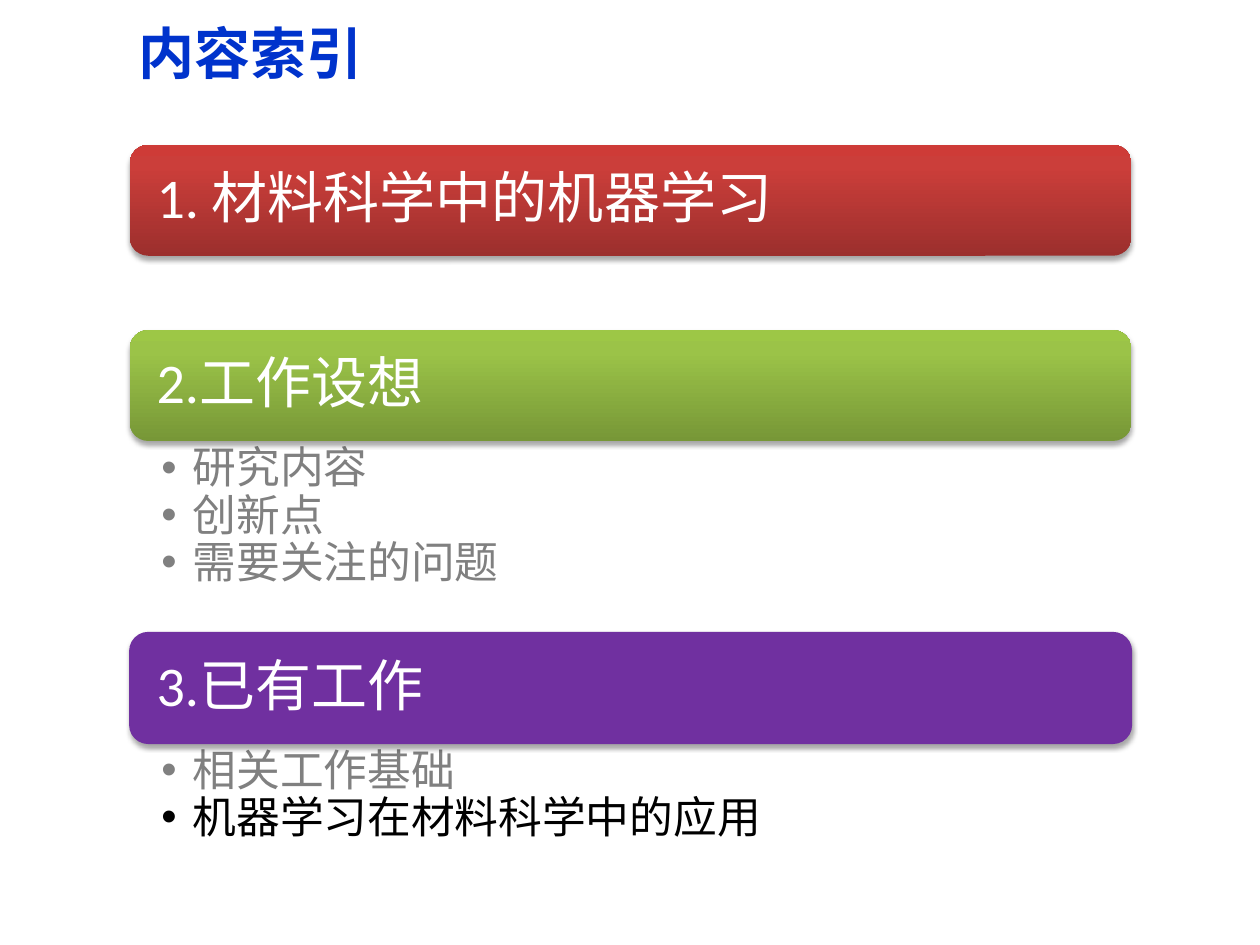
"""Build the contents slide with three section bars and their topic lists."""
from copy import deepcopy

from lxml.etree import SubElement
from pptx import Presentation
from pptx.dml.color import RGBColor
from pptx.enum.shapes import MSO_SHAPE
from pptx.enum.text import MSO_ANCHOR, MSO_AUTO_SIZE, PP_ALIGN
from pptx.oxml.ns import qn
from pptx.util import Inches, Pt

BLUE = RGBColor(0x00, 0x33, 0xCC)
WHITE = RGBColor(0xFF, 0xFF, 0xFF)
GRAY = RGBColor(0x80, 0x80, 0x80)
BLACK = RGBColor(0x00, 0x00, 0x00)
PURPLE = RGBColor(0x70, 0x30, 0xA0)
REDS = [RGBColor(0x9C, 0x2F, 0x2D), RGBColor(0xCB, 0x3E, 0x3A), RGBColor(0xCE, 0x3B, 0x37)]
GREENS = [RGBColor(0x77, 0x97, 0x37), RGBColor(0x9B, 0xC3, 0x48), RGBColor(0x9D, 0xC7, 0x46)]
STOPS = [0, 0.8, 1]

LATIN, CHINESE = "Calibri", "Noto Sans CJK SC"
LEFT, WIDTH, BAR_HEIGHT = 1.03, 7.95, 0.88

TITLE = "内容索引"
SECTIONS = [
    {"top": 1.15, "heading": "1. 材料科学中的机器学习", "colors": REDS, "topics": []},
    {"top": 2.62, "heading": "2.工作设想", "colors": GREENS, "list_height": 1.52,
     "topics": [("研究内容", GRAY), ("创新点", GRAY), ("需要关注的问题", GRAY)]},
    {"top": 5.02, "heading": "3.已有工作", "colors": [PURPLE], "list_height": 1,
     "topics": [("相关工作基础", GRAY), ("机器学习在材料科学中的应用", BLACK)]},
]


def place(shape, left, top, width, height):
    shape.left, shape.top = Inches(left), Inches(top)
    shape.width, shape.height = Inches(width), Inches(height)


def set_frame(frame, anchor, side, edge):
    frame.word_wrap = True
    frame.auto_size = MSO_AUTO_SIZE.NONE
    frame.vertical_anchor = anchor
    frame.margin_left = frame.margin_right = Inches(side)
    frame.margin_top = frame.margin_bottom = Inches(edge)


def write(para, text, size, color, name=LATIN, bold=False):
    para.alignment = PP_ALIGN.LEFT
    span = para.add_run()
    span.text = text
    font = span.font
    font.size, font.bold, font.name = Pt(size), bold, name
    font.color.rgb = color
    east_asian = SubElement(span._r.get_or_add_rPr(), qn("a:ea"))
    east_asian.set("typeface", CHINESE)


def paint(bar, colors):
    if len(colors) == 1:
        bar.fill.solid()
        bar.fill.fore_color.rgb = colors[0]
        bar.line.color.rgb = colors[0]
        bar.line.width = Pt(0.75)
        return
    bar.fill.gradient()
    bar.fill.gradient_angle = 90
    stop_list = bar._element.spPr.find(".//" + qn("a:gsLst"))
    stop_list.insert(1, deepcopy(stop_list[0]))
    for stop, color, position in zip(bar.fill.gradient_stops, colors, STOPS):
        stop.color.rgb = color
        stop.position = position
    bar.line.fill.background()


def cast_shadow(bar):
    bar.shadow.inherit = False
    effects = bar._element.spPr.find(qn("a:effectLst"))
    shadow = SubElement(effects, qn("a:outerShdw"), blurRad=str(Pt(3.1)),
                        dist=str(Pt(1.8)), dir="5400000", rotWithShape="0")
    color = SubElement(shadow, qn("a:srgbClr"), val=str(BLACK))
    SubElement(color, qn("a:alpha"), val="35000")


def add_bar(page, section):
    bar = page.shapes.add_shape(MSO_SHAPE.ROUNDED_RECTANGLE, Inches(LEFT),
                                Inches(section["top"]), Inches(WIDTH), Inches(BAR_HEIGHT))
    paint(bar, section["colors"])
    cast_shadow(bar)
    set_frame(bar.text_frame, MSO_ANCHOR.MIDDLE, 0.17, 0.13)
    para = bar.text_frame.paragraphs[0]
    para.line_spacing = 0.9
    write(para, section["heading"], 32, WHITE)


def fill_topics(box, section):
    place(box, LEFT, section["top"] + BAR_HEIGHT, WIDTH, section["list_height"])
    frame = box.text_frame
    set_frame(frame, MSO_ANCHOR.TOP, 0.25, 0.04)
    for index, (topic, color) in enumerate(section["topics"]):
        para = frame.add_paragraph() if index else frame.paragraphs[0]
        para.level = 1
        para.line_spacing = 0.9
        para.space_before = para.space_after = Pt(0)
        properties = para._p.get_or_add_pPr()
        properties.set("marL", str(Inches(0.25)))
        properties.set("indent", str(Inches(-0.25)))
        SubElement(properties, qn("a:buChar"), char="•")
        write(para, topic, 25, color)


def main():
    deck = Presentation()
    deck.slide_width, deck.slide_height = Inches(10), Inches(7.5)
    page = deck.slides.add_slide(deck.slide_layouts[3])
    title, *boxes = page.placeholders
    place(title, 1, -0.02, 9, 0.87)
    set_frame(title.text_frame, MSO_ANCHOR.MIDDLE, 0.1, 0.05)
    write(title.text_frame.paragraphs[0], TITLE, 32, BLUE, CHINESE, True)
    for section in SECTIONS:
        add_bar(page, section)
    for box, section in zip(boxes, [part for part in SECTIONS if part["topics"]]):
        fill_topics(box, section)
    deck.save("out.pptx")


if __name__ == "__main__":
    main()
